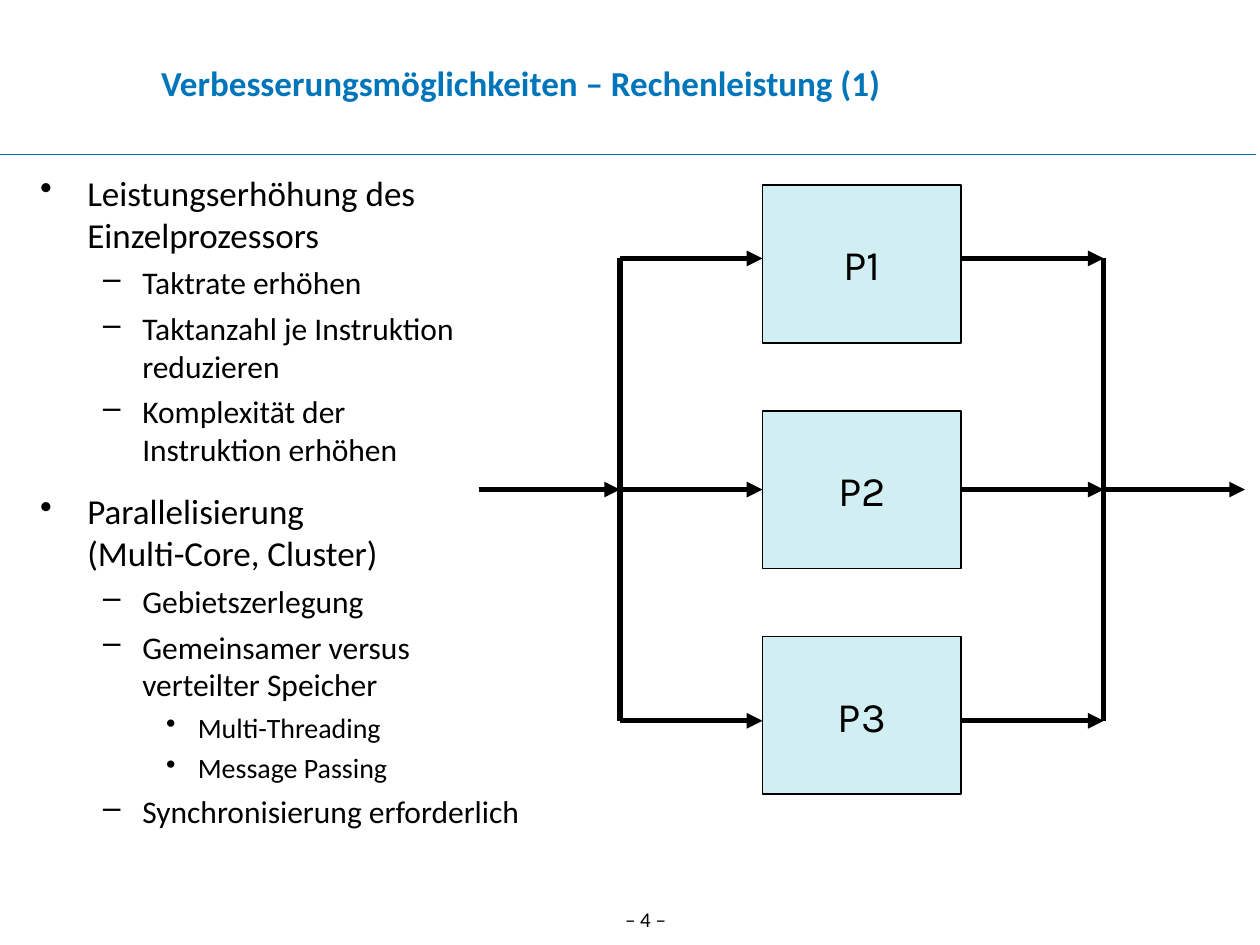
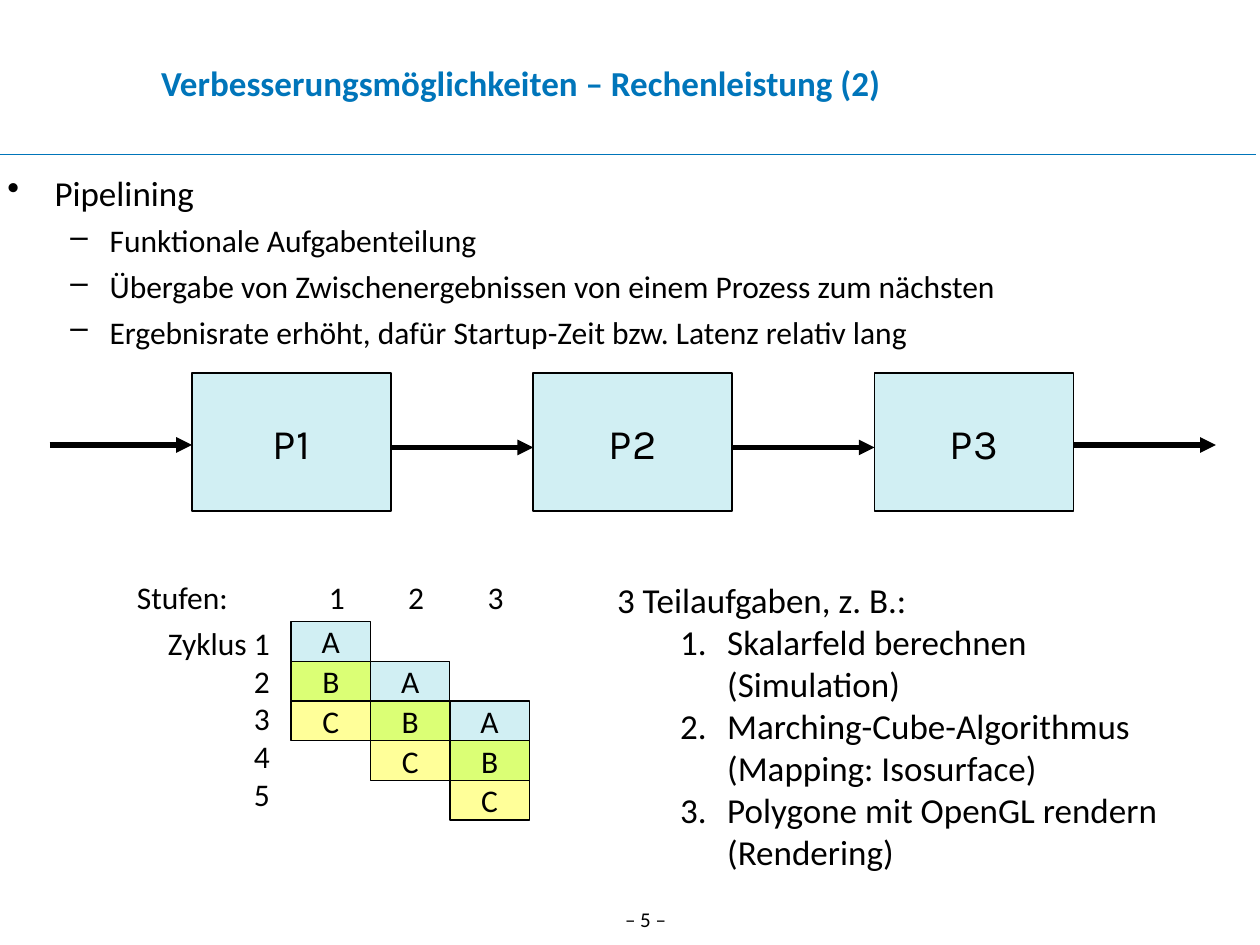
import pptx
import pptx.dml.color
import pptx.enum.shapes
import pptx.enum.text
import pptx.oxml
import pptx.oxml.ns
import pptx.util

Cm = pptx.util.Cm
Pt = pptx.util.Pt
RGBColor = pptx.dml.color.RGBColor
ALIGN = pptx.enum.text.PP_ALIGN
ANCHOR = pptx.enum.text.MSO_ANCHOR
NAMESPACE = pptx.oxml.ns.nsdecls("a")

BLACK = RGBColor(0x00, 0x00, 0x00)
BLUE = RGBColor(0x00, 0x75, 0xBA)
LIGHT_BLUE = RGBColor(0xD1, 0xEF, 0xF3)
GREEN = RGBColor(0xDB, 0xFF, 0x75)
YELLOW = RGBColor(0xFF, 0xFF, 0x99)

BULLET = '<a:buChar {} char="•"/>'
DASH = '<a:buChar {} char="–"/>'
NUMBER = '<a:buAutoNum {} type="arabicPeriod"/>'
STAGE_TABS = '<a:tabLst {}>' + "".join(
    f'<a:tab pos="{Cm(3.87 + 1.6 * stage)}" algn="l"/>' for stage in range(3)
) + "</a:tabLst>"

# Paragraph styles: font values, paragraph values, and optional left, hanging and extra XML
STYLES = {
    "title": {"font": {"size": Pt(20), "bold": True}, "color": BLUE,
              "paragraph": {"alignment": ALIGN.CENTER}},
    "footer": {"font": {"size": Pt(12)}, "paragraph": {"alignment": ALIGN.CENTER}},
    "topic": {"font": {"size": Pt(20)}, "paragraph": {"space_before": Pt(12.5)},
              "left": 0.95, "hanging": 0.95, "extra": BULLET},
    "point": {"font": {"size": Pt(18)}, "paragraph": {"space_before": Pt(4.5)},
              "left": 2.06, "hanging": 0.79, "extra": DASH},
    "detail": {"font": {"size": Pt(16)}, "paragraph": {"space_before": Pt(4)},
               "left": 3.18, "hanging": 0.64, "extra": BULLET},
    "processor": {"font": {"size": Pt(24), "name": "Karla"},
                  "paragraph": {"alignment": ALIGN.CENTER}},
    "job": {"font": {"size": Pt(18)}, "paragraph": {"alignment": ALIGN.CENTER}},
    "cycle": {"font": {"size": Pt(18)}, "paragraph": {"alignment": ALIGN.RIGHT}},
    "stages": {"font": {"size": Pt(18)}, "extra": STAGE_TABS},
    "task heading": {"font": {"size": Pt(20)}},
    "task": {"font": {"size": Pt(20)}, "left": 2.22, "hanging": 0.95, "extra": NUMBER},
}


def add_text(slide, box, paragraphs, anchor=ANCHOR.TOP, fill=None, line_width=1):
    """Add (style, text) paragraphs; a fill makes the box an outlined rectangle."""
    lengths = [Cm(value) for value in box]
    if fill is None:
        shape = slide.shapes.add_textbox(*lengths)
    else:
        shape = slide.shapes.add_shape(pptx.enum.shapes.MSO_SHAPE.RECTANGLE, *lengths)
        shape.shadow.inherit = False
        shape.fill.solid()
        shape.fill.fore_color.rgb = fill
        shape.line.color.rgb = BLACK
        shape.line.width = Pt(line_width)
    frame = shape.text_frame
    frame.word_wrap = True
    frame.vertical_anchor = anchor
    for index, (style_name, text) in enumerate(paragraphs):
        style = STYLES[style_name]
        paragraph = frame.add_paragraph() if index else frame.paragraphs[0]
        paragraph.text = text
        properties = paragraph._p.get_or_add_pPr()
        if "left" in style:
            properties.set("marL", str(Cm(style["left"])))
            properties.set("indent", str(-Cm(style["hanging"])))
        if "extra" in style:
            properties.append(pptx.oxml.parse_xml(style["extra"].format(NAMESPACE)))
        for name, value in style.get("paragraph", {}).items():
            if index or name != "space_before":
                setattr(paragraph, name, value)
        for run in paragraph.runs:
            for name, value in ({"name": "Calibri"} | style["font"]).items():
                setattr(run.font, name, value)
            run.font.color.rgb = style.get("color", BLACK)


def add_line(slide, start, end, color=BLACK, width=3, arrow=True):
    connector = slide.shapes.add_connector(
        pptx.enum.shapes.MSO_CONNECTOR.STRAIGHT, *[Cm(value) for value in start + end])
    connector.line.color.rgb = color
    connector.line.width = Pt(width)
    if arrow:
        connector.line._get_or_add_ln().append(
            pptx.oxml.parse_xml(f'<a:tailEnd {NAMESPACE} type="triangle"/>'))
    connector._element.spPr.append(pptx.oxml.parse_xml(f"<a:effectLst {NAMESPACE}/>"))


presentation = pptx.Presentation()
presentation.slide_width = Cm(25.4)
presentation.slide_height = Cm(19.05)

# Shared rule, page number and title
slides = []
for part in (1, 2):
    slide = presentation.slides.add_slide(presentation.slide_layouts[6])
    add_line(slide, (-0.1, 3.12), (25.32, 3.12), BLUE, 0.75, arrow=False)
    add_text(slide, (11.91, 18.16, 2.21, 0.8), [("footer", f"– {part + 3} –")])
    add_text(slide, (0.5, 0.58, 20, 2.16),
             [("title", f"Verbesserungsmöglichkeiten – Rechenleistung ({part})")],
             ANCHOR.MIDDLE)
    slides.append(slide)
parallel_slide, pipeline_slide = slides

# Slide 1: parallel processors between two buses
add_text(parallel_slide, (0.56, 3.33, 23.55, 14.4), [
    ("topic", "Leistungserhöhung des\nEinzelprozessors"),
    ("point", "Taktrate erhöhen"),
    ("point", "Taktanzahl je Instruktion\nreduzieren"),
    ("point", "Komplexität der\nInstruktion erhöhen"),
    ("topic", "Parallelisierung\n(Multi-Core, Cluster)"),
    ("point", "Gebietszerlegung"),
    ("point", "Gemeinsamer versus\nverteilter Speicher"),
    ("detail", "Multi-Threading"),
    ("detail", "Message Passing"),
    ("point", "Synchronisierung erforderlich"),
])
PROCESSOR_WIDTH = 4.01
processor_left = 15.37
processor_right = processor_left + PROCESSOR_WIDTH
input_bus, output_bus = 12.5, 22.25
bus_top, bus_middle, bus_bottom = bus_levels = (5.21, 9.87, 14.53)
for index, level in enumerate(bus_levels):
    add_text(parallel_slide, (processor_left, 3.73 + 4.55 * index, PROCESSOR_WIDTH, 3.18),
             [("processor", f"P{index + 1}")], ANCHOR.MIDDLE, LIGHT_BLUE)
    add_line(parallel_slide, (input_bus, level), (processor_left, level))
    add_line(parallel_slide, (processor_right, level), (output_bus, level))
add_line(parallel_slide, (9.65, bus_middle), (input_bus, bus_middle))
add_line(parallel_slide, (output_bus, bus_middle), (25.1, bus_middle))
for bus in (input_bus, output_bus):
    add_line(parallel_slide, (bus, bus_top), (bus, bus_bottom), arrow=False)

# Slide 2: processor chain
add_text(pipeline_slide, (-0.1, 3.33, 25.5, 14), [
    ("topic", "Pipelining"),
    ("point", "Funktionale Aufgabenteilung"),
    ("point", "Übergabe von Zwischenergebnissen von einem Prozess zum nächsten"),
    ("point", "Ergebnisrate erhöht, dafür Startup-Zeit bzw. Latenz relativ lang"),
])
CHAIN_STEP = 6.88
for index in range(3):
    add_text(pipeline_slide, (3.87 + CHAIN_STEP * index, 7.52, PROCESSOR_WIDTH, 2.79),
             [("processor", f"P{index + 1}")], ANCHOR.MIDDLE, LIGHT_BLUE)
for index, level in enumerate((8.97, 9.02, 9.02, 8.97)):
    start = 1 + CHAIN_STEP * index
    add_line(pipeline_slide, (start, level), (start + 2.87, level))

# Each job moves one stage to the right per cycle
JOB_WIDTH, JOB_HEIGHT = 1.6, 0.8
for job, (name, color) in enumerate((("A", LIGHT_BLUE), ("B", GREEN), ("C", YELLOW))):
    for stage in range(3):
        add_text(pipeline_slide,
                 (5.87 + JOB_WIDTH * stage, 12.53 + JOB_HEIGHT * (job + stage),
                  JOB_WIDTH, JOB_HEIGHT),
                 [("job", name)], ANCHOR.MIDDLE, color, 0.75)
add_text(pipeline_slide, (2.5, 12.45, 3.19, 4.06),
         [("cycle", label) for label in ("Zyklus 1", "2", "3", "4", "5")])
add_text(pipeline_slide, (2.51, 11.53, 8.2, 1.02), [("stages", "Stufen:\t1\t2\t3")])
add_text(pipeline_slide, (12.19, 11.53, 13.2, 6.2), [
    ("task heading", "3 Teilaufgaben, z. B.:"),
    ("task", "Skalarfeld berechnen\n(Simulation)"),
    ("task", "Marching-Cube-Algorithmus\n(Mapping: Isosurface)"),
    ("task", "Polygone mit OpenGL rendern\n(Rendering)"),
])

presentation.save("out.pptx")
